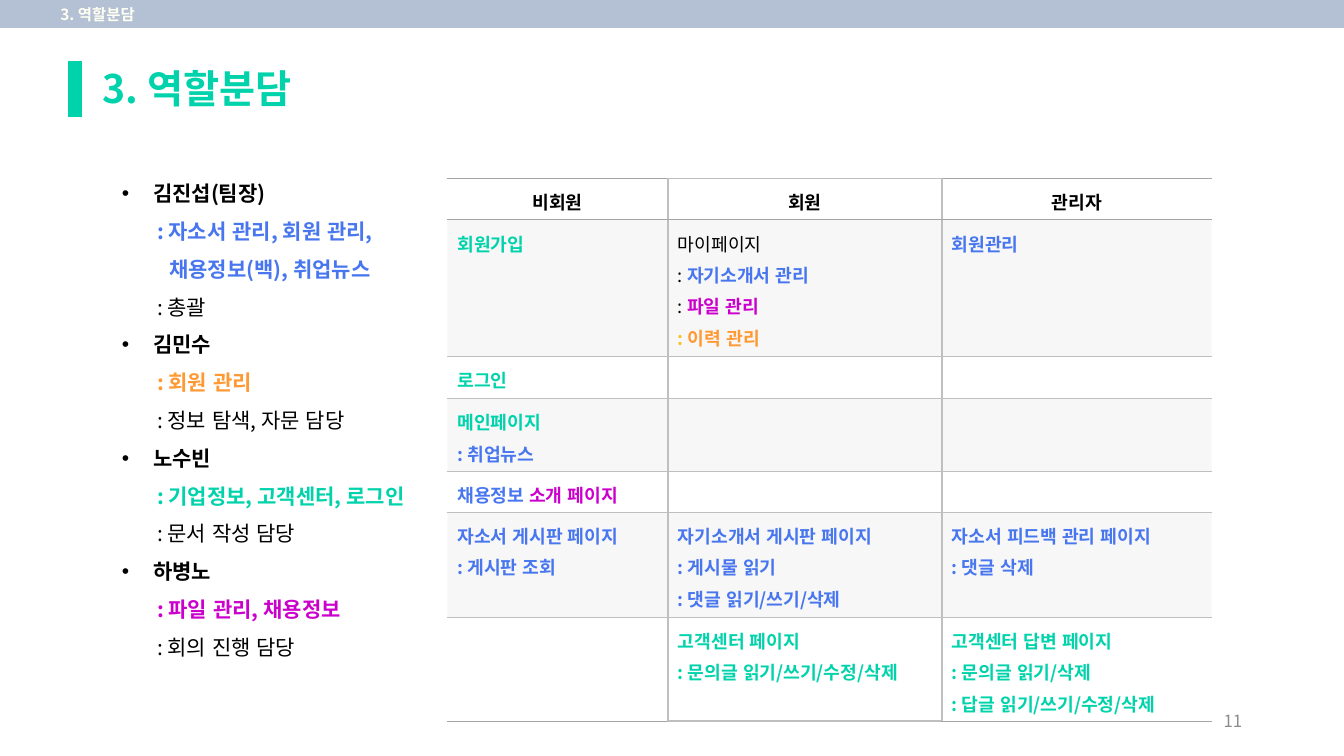
from dataclasses import dataclass
from lxml import etree
from pptx import Presentation
from pptx import util as u
from pptx.dml.color import RGBColor
from pptx.enum import lang, shapes, text
from pptx.oxml.ns import qn

HEADING = "3. 역할분담"
PAGE = "11"

MEMBERS = [
    ("김진섭(팀장)", [(": 자소서 관리, 회원 관리,", "blue"), ("채용정보(백), 취업뉴스", "blue"), (": 총괄", "plain")]),
    ("김민수", [(": 회원 관리", "orange"), (": 정보 탐색, 자문 담당", "plain")]),
    ("노수빈", [(": 기업정보, 고객센터, 로그인", "green"), (": 문서 작성 담당", "plain")]),
    ("하병노", [(": 파일 관리, 채용정보", "purple"), (": 회의 진행 담당", "plain")]),
]

ROLES = [
    [[[("비회원", "strong")]], [[("회원", "strong")]], [[("관리자", "strong")]]],
    [
        [[("회원가입", "green")]],
        [
            [("마이페이지", "plain")],
            [(": ", "plain"), ("자기소개서 관리", "blue")],
            [(": ", "plain"), ("파일 관리", "purple")],
            [(": ", "gold"), ("이력 관리", "orange")],
        ],
        [[("회원관리", "blue")]],
    ],
    [[[("로그인", "green")]], [], []],
    [[[("메인페이지", "green")], [(": 취업뉴스", "blue")]], [], []],
    [[[("채용정보 ", "blue"), ("소개 페이지", "purple")]], [], []],
    [
        [[("자소서 게시판 페이지", "blue")], [(": 게시판 조회", "blue")]],
        [[("자기소개서 게시판 페이지", "blue")], [(": 게시물 읽기", "blue")], [(": 댓글 읽기/쓰기/삭제", "blue")]],
        [[("자소서 피드백 관리 페이지", "blue")], [(": 댓글 삭제", "blue")]],
    ],
    [
        [],
        [[("고객센터 페이지", "green")], [(": 문의글 읽기/쓰기/수정/삭제", "green")]],
        [[("고객센터 답변 페이지", "green")], [(": 문의글 읽기/삭제", "green")], [(": 답글 읽기/쓰기/수정/삭제", "green")]],
    ],
]

PLACES = {
    "accent": (5.03, 8, 1.1, 7.6),
    "title": (6.9, 6.2, 86.95, 11.6),
    "page": (70.65, 92.67, 22.51, 5.33),
    "header": (0, 0, 100, 3.7),
    "roles": (33.28, 23.6, 56.88, 71.8),
    "members": (8.33, 21.6, 24.91, 66.27),
}
COLUMN_WEIGHTS = (2.19, 2.72, 2.68)
ROW_WEIGHTS = (0.41, 1.35, 0.42, 0.72, 0.41, 1.04, 1.03)


@dataclass(frozen=True)
class Theme:
    font = "Noto Sans CJK KR"
    colours = {
        "plain": "000000", "strong": "000000", "green": "00D3AB", "blue": "4876EF",
        "orange": "FF9933", "purple": "CC00CC", "gold": "FAC122", "grey": "8C8C8C",
        "cream": "FFFFF3", "white": "FFFFFF", "header": "B4C0D3", "band": "D9D9D9",
    }
    regular = ("plain", "grey")
    sizes = {"title": 28, "members": 15, "roles": 13, "page": 12, "header": 11}
    hair = ("BFBFBF", 0.25)
    rule = ("A5A5A5", 1)
    divider = ("BFBFBF", 1.5)


THEME = Theme()
deck = Presentation()
deck.slide_width, deck.slide_height = u.Inches(13.33), u.Inches(7.5)
slide = deck.slides.add_slide(deck.slide_layouts[6])


def assign(target, values):
    for name, value in values.items():
        setattr(target, name, value)


def colour(name):
    return RGBColor.from_string(THEME.colours[name])


def place(part):
    extents = (deck.slide_width, deck.slide_height) * 2
    return [round(share * extent / 100) for share, extent in zip(PLACES[part], extents)]


def write(paragraph, runs, part, layout):
    assign(paragraph, layout)
    for words, tone in runs:
        run = paragraph.add_run()
        run.text = words
        assign(run.font, {
            "size": u.Pt(THEME.sizes[part]),
            "name": THEME.font,
            "bold": tone not in THEME.regular,
            "language_id": lang.MSO_LANGUAGE_ID.KOREAN,
        })
        run.font.color.rgb = colour(tone)
        etree.SubElement(run.font._element, qn("a:ea"), typeface=THEME.font)


def indent(paragraph, margin, hanging=0, bullet=None):
    properties = paragraph._p.get_or_add_pPr()
    properties.set("marL", str(u.Inches(margin)))
    properties.set("indent", str(u.Inches(hanging)))
    if bullet:
        etree.SubElement(properties, qn("a:buFont"), typeface="Arial")
        etree.SubElement(properties, qn("a:buChar"), char=bullet)


def block(part, fill):
    shape = slide.shapes.add_shape(shapes.MSO_SHAPE.RECTANGLE, *place(part))
    shape.shadow.inherit = False
    shape.fill.solid()
    shape.fill.fore_color.rgb = colour(fill)
    return shape


def text_frame(part, anchor=text.MSO_ANCHOR.MIDDLE):
    frame = slide.shapes.add_textbox(*place(part)).text_frame
    assign(frame, {"word_wrap": True, "vertical_anchor": anchor})
    return frame


def border(cell, sides):
    properties = cell._tc.get_or_add_tcPr()
    for side in "LRTB":
        edge = sides[side]
        line = etree.SubElement(properties, qn(f"a:ln{side}"))
        if edge:
            line.set("w", str(u.Pt(edge[1])))
            fill = etree.SubElement(line, qn("a:solidFill"))
            etree.SubElement(fill, qn("a:srgbClr"), val=edge[0])
        else:
            etree.SubElement(line, qn("a:noFill"))


def shade(cell, banded):
    if not banded:
        cell.fill.background()
        return
    cell.fill.solid()
    cell.fill.fore_color.rgb = colour("band")
    tint = cell._tc.tcPr.find(qn("a:solidFill"))[0]
    etree.SubElement(tint, qn("a:alpha"), val="20000")


def fill_cell(cell, lines, layout):
    for index, runs in enumerate(lines or [[]]):
        paragraph = cell.text_frame.add_paragraph() if index else cell.text_frame.paragraphs[0]
        write(paragraph, runs, "roles", layout)
        if not runs:
            ending = etree.SubElement(paragraph._p, qn("a:endParaRPr"), sz=str(THEME.sizes["roles"] * 100))
            for script in ("latin", "ea"):
                etree.SubElement(ending, qn(f"a:{script}"), typeface=THEME.font)


def build_roles():
    left, top, width, height = place("roles")
    last_row, last_column = len(ROLES) - 1, len(COLUMN_WEIGHTS) - 1
    roles = slide.shapes.add_table(last_row + 1, last_column + 1, left, top, width, height).table
    assign(roles, {"first_row": False, "horz_banding": False})
    for column, weight in zip(roles.columns, COLUMN_WEIGHTS):
        column.width = round(width * weight / sum(COLUMN_WEIGHTS))
    for row, weight in zip(roles.rows, ROW_WEIGHTS):
        row.height = round(height * weight / sum(ROW_WEIGHTS))
    for r, row in enumerate(ROLES):
        align = text.PP_ALIGN.LEFT if r else text.PP_ALIGN.CENTER
        for c, lines in enumerate(row):
            cell = roles.cell(r, c)
            outer = THEME.divider if c == 1 else THEME.rule
            border(cell, {
                "L": THEME.divider if c else None,
                "R": THEME.divider if c < last_column else None,
                "T": outer if r == 0 else THEME.rule if r == 1 else THEME.hair,
                "B": outer if r == last_row else THEME.rule if r == 0 else THEME.hair,
            })
            shade(cell, r % 2)
            fill_cell(cell, lines, {"alignment": align, "line_spacing": 1.2})


def build_members():
    frame = text_frame("members", text.MSO_ANCHOR.TOP)
    frame.auto_size = text.MSO_AUTO_SIZE.SHAPE_TO_FIT_TEXT
    for index, (member, duties) in enumerate(MEMBERS):
        paragraph = frame.add_paragraph() if index else frame.paragraphs[0]
        assign(paragraph, {"line_spacing": 1.5})
        indent(paragraph, 0.31, -0.31, "•")
        write(paragraph, [(member, "strong")], "members", {})
        for duty, tone in duties:
            paragraph = frame.add_paragraph()
            indent(paragraph, 0.35 if duty.startswith(":") else 0.47)
            write(paragraph, [(duty, tone)], "members", {"level": 1, "line_spacing": 1.5})


accent = block("accent", "green")
accent.line.color.rgb = colour("white")
accent.line.width = u.Pt(1)
write(text_frame("title").paragraphs[0], [(HEADING, "green")], "title", {"line_spacing": 0.9})
write(text_frame("page").paragraphs[0], [(PAGE, "grey")], "page", {"alignment": text.PP_ALIGN.RIGHT})
header = block("header", "header")
header.line.fill.background()
header.text_frame.vertical_anchor = text.MSO_ANCHOR.MIDDLE
breadcrumb = header.text_frame.paragraphs[0]
indent(breadcrumb, 0.5)
write(breadcrumb, [(HEADING, "cream")], "header", {"level": 1, "alignment": text.PP_ALIGN.LEFT})
build_roles()
build_members()
deck.save("out.pptx")
